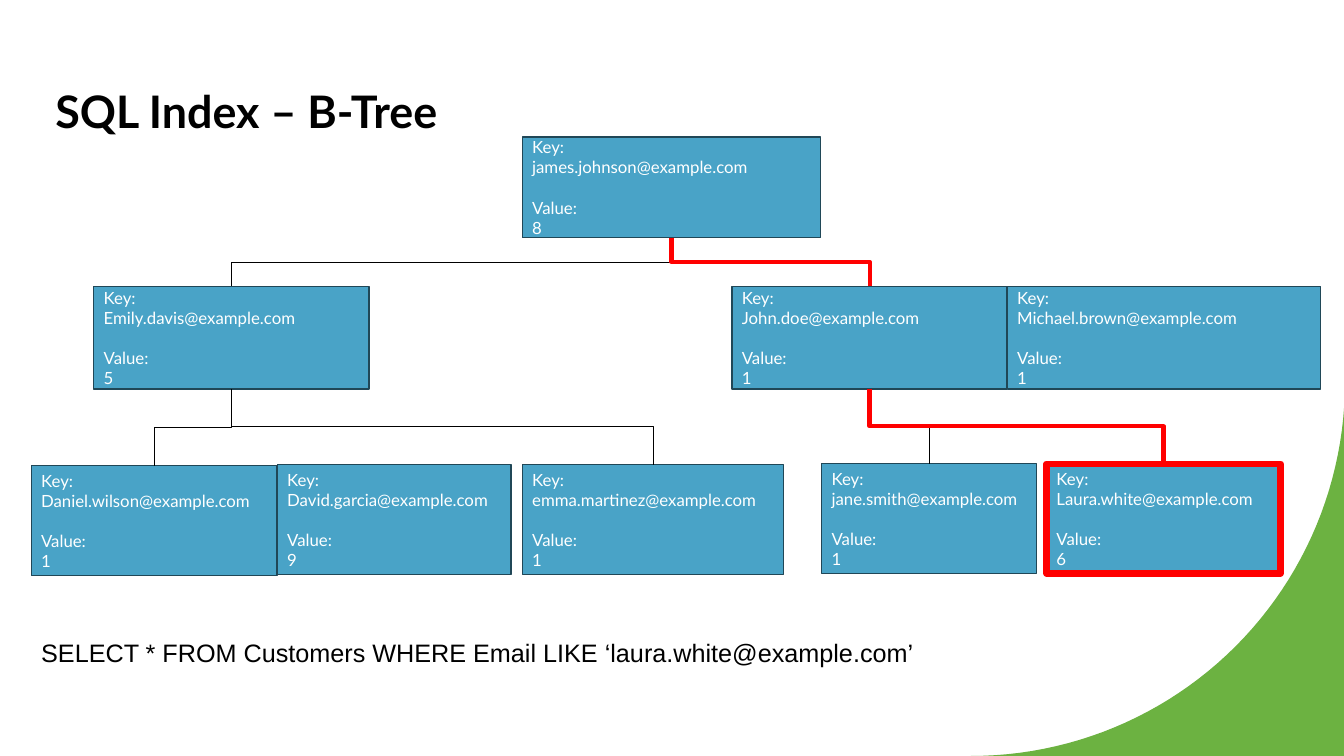
import math
import pptx
import pptx.util
import pptx.dml.color
import pptx.enum.shapes
import pptx.enum.text
import pptx.oxml.ns
import lxml.etree

Inches, Pt = pptx.util.Inches, pptx.util.Pt
qn = pptx.oxml.ns.qn
COLORS = {"node": "49A3C7", "edge": "204757", "hit": "FF0000",
          "green": "6CB241", "black": "000000", "white": "FFFFFF"}


def color(name):
    return pptx.dml.color.RGBColor.from_string(COLORS[name])


def write(frame, lines, style, ink):
    frame.word_wrap = True
    for i, line in enumerate(lines):
        para = frame.paragraphs[0] if i == 0 else frame.add_paragraph()
        para.alignment = pptx.enum.text.PP_ALIGN.LEFT
        run = para.add_run()
        run.text = line
        for key, value in style.items():
            setattr(run.font, key, value)
        run.font.color.rgb = color(ink)


deck = pptx.Presentation()
deck.slide_width, deck.slide_height = Inches(13.33), Inches(7.5)
slide = deck.slides.add_slide(deck.slide_layouts[6])
shapes = slide.shapes

# Green corner, cut by a quarter circle
steps, radius = 48, 3.71
arc = [(9.63 + radius * math.cos(a), 3.79 + radius * math.sin(a))
       for a in (math.pi / 2 * i / steps for i in range(steps + 1))]
pen = shapes.build_freeform(Inches(13.33), Inches(7.5), scale=1.0)
pen.add_line_segments([(Inches(x), Inches(y)) for x, y in arc[::-1]])
corner = pen.convert_to_shape()
corner.shadow.inherit = False
corner.fill.solid()
corner.fill.fore_color.rgb = color("green")
corner.line.fill.background()

# Title
title = shapes.add_textbox(Inches(0.45), Inches(0.65), Inches(12.42), Inches(0.84))
frame = title.text_frame
for side in ("top", "bottom"):
    setattr(frame, "margin_" + side, Inches(0.1))
frame.vertical_anchor = pptx.enum.text.MSO_ANCHOR.MIDDLE
write(frame, ["SQL Index – B-Tree"], {"size": Pt(32), "name": "Lato", "bold": True}, "black")
frame.paragraphs[0].line_spacing = 1.1

# Tree nodes: name, value, left, top, width, height
NODES = [
    ("james.johnson", 8, 5.18, 1.36, 2.96, 1.0),
    ("Emily.davis", 5, 0.93, 2.84, 2.73, 1.02),
    ("John.doe", 1, 7.26, 2.84, 2.73, 1.02),
    ("David.garcia", 9, 2.75, 4.61, 2.32, 1.09),
    ("Laura.white", 6, 10.38, 4.6, 2.32, 1.09),
    ("jane.smith", 1, 8.15, 4.6, 2.13, 1.09),
    ("Michael.brown", 1, 9.99, 2.84, 3.11, 1.02),
    ("Daniel.wilson", 1, 0.31, 4.62, 2.44, 1.09),
    ("emma.martinez", 1, 5.18, 4.61, 2.59, 1.09),
]
boxes = {}
for name, value, *place in NODES:
    box = shapes.add_shape(pptx.enum.shapes.MSO_SHAPE.RECTANGLE, *map(Inches, place))
    found = name == "Laura.white"
    box.shadow.inherit = False
    box.fill.solid()
    box.fill.fore_color.rgb = color("node")
    box.line.color.rgb = color("hit" if found else "edge")
    box.line.width = Pt(4.5 if found else 1)
    frame = box.text_frame
    frame.vertical_anchor = pptx.enum.text.MSO_ANCHOR.MIDDLE
    write(frame, ["Key:", name + "@example.com", "Value:", str(value)],
          {"size": Pt(12), "name": "Lato"}, "white")
    frame.paragraphs[2].space_before = Pt(14.4)
    boxes[name] = box

# Branches, with the search path in red on top
LINKS = [
    ("james.johnson", "Emily.davis", "black", 0.5),
    ("Emily.davis", "Daniel.wilson", "black", 0.5),
    ("Emily.davis", "emma.martinez", "black", 0.5),
    ("John.doe", "jane.smith", "black", 0.5),
    ("james.johnson", "John.doe", "hit", 3),
    ("John.doe", "Laura.white", "hit", 3),
]
for start, end, ink, width in LINKS:
    top, low = boxes[start], boxes[end]
    link = shapes.add_connector(pptx.enum.shapes.MSO_CONNECTOR.ELBOW, 0, 0, 0, 0)
    link.begin_connect(top, 2)
    link.end_connect(low, 0)
    link.line.color.rgb = color(ink)
    link.line.width = Pt(width)
    lxml.etree.SubElement(link._element.spPr, qn("a:effectLst"))
    # Turn the elbow so that it leaves and arrives upright
    x1, y1 = top.left + top.width // 2, top.top + top.height
    x2, y2 = low.left + low.width // 2, low.top
    wide, high = abs(x2 - x1), y2 - y1
    link.left, link.top = (x1 + x2 - high) // 2, (y1 + y2 - wide) // 2
    link.width, link.height = high, wide
    right = x2 > x1
    turn = {"rot": "16200000" if right else "5400000",
            "flipH": "1" if right else "0", "flipV": "0"}
    for key, value in turn.items():
        link._element.spPr.find(qn("a:xfrm")).set(key, value)

# Query
query = shapes.add_textbox(Inches(0.31), Inches(6.27), Inches(11.91), Inches(0.4))
write(query.text_frame, ["SELECT * FROM Customers WHERE Email LIKE ‘laura.white@example.com’"],
      {"size": Pt(18), "name": "Arial"}, "black")

deck.save("out.pptx")
